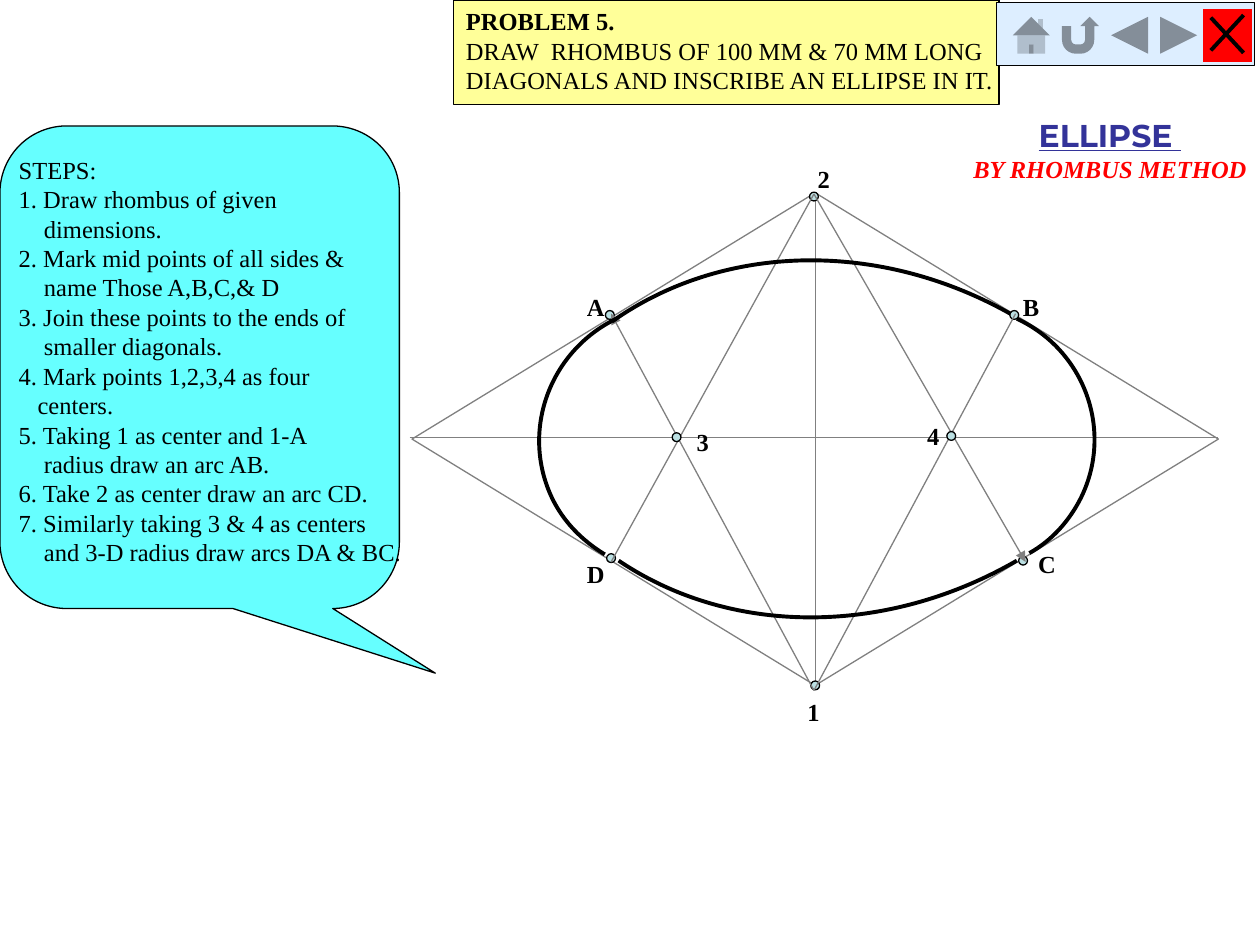
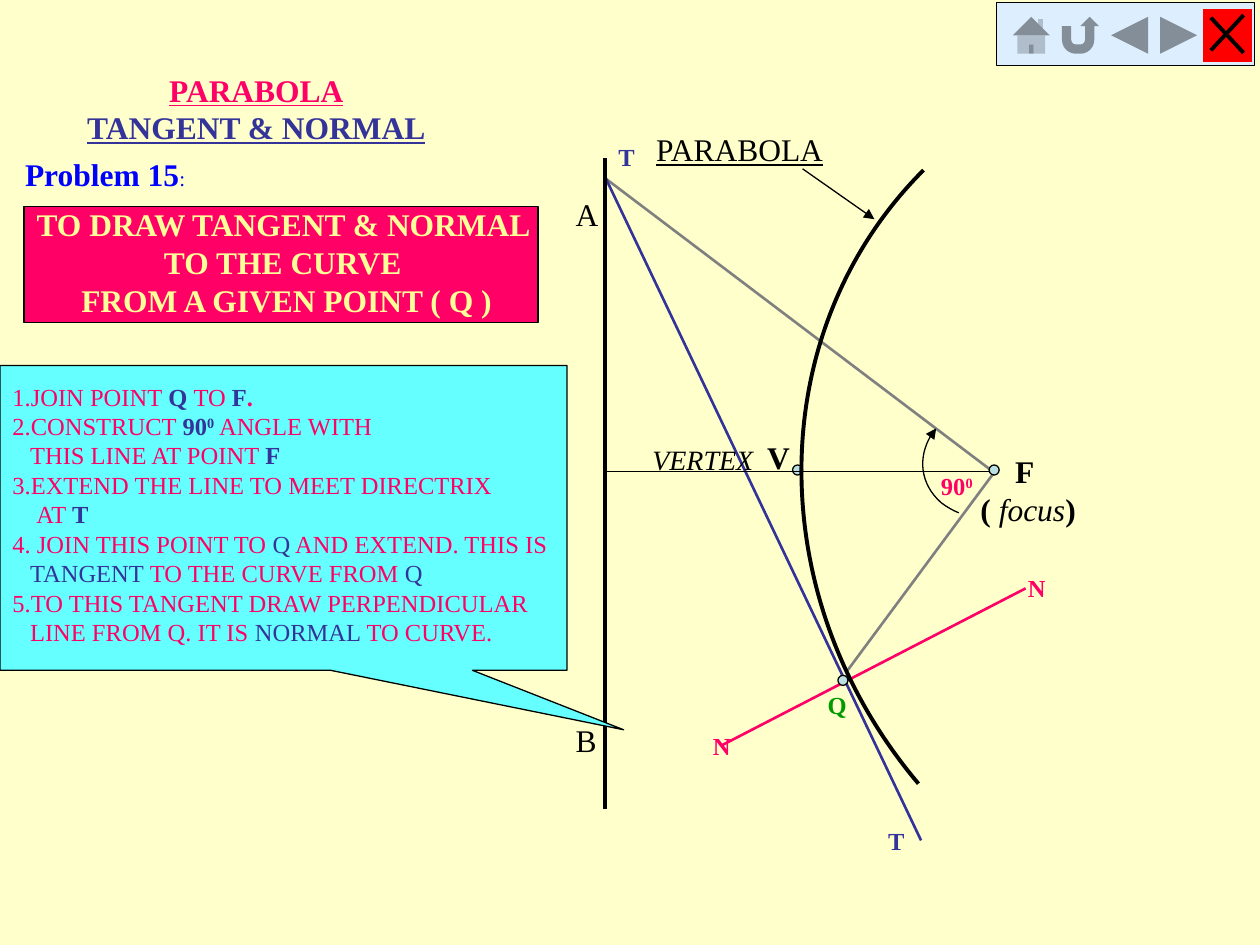
from math import cos, radians, sin

from lxml import etree
from pptx import Presentation
from pptx.dml.color import RGBColor
from pptx.enum.shapes import MSO_CONNECTOR, MSO_SHAPE
from pptx.enum.text import MSO_ANCHOR, MSO_AUTO_SIZE, PP_ALIGN
from pptx.oxml.ns import qn
from pptx.util import Inches, Pt

STRAIGHT = MSO_CONNECTOR.STRAIGHT
RECTANGLE, OVAL, DIAMOND = MSO_SHAPE.RECTANGLE, MSO_SHAPE.OVAL, MSO_SHAPE.DIAMOND
ROUND_CALLOUT = MSO_SHAPE.ROUNDED_RECTANGULAR_CALLOUT
SQUARE_CALLOUT = MSO_SHAPE.RECTANGULAR_CALLOUT
BLANK_BUTTON = MSO_SHAPE.ACTION_BUTTON_CUSTOM
NAVIGATION = [MSO_SHAPE.ACTION_BUTTON_HOME, MSO_SHAPE.ACTION_BUTTON_RETURN,
              MSO_SHAPE.ACTION_BUTTON_BACK_OR_PREVIOUS,
              MSO_SHAPE.ACTION_BUTTON_FORWARD_OR_NEXT]
LEFT, CENTER = PP_ALIGN.LEFT, PP_ALIGN.CENTER

BLACK = RGBColor(0x00, 0x00, 0x00)
WHITE = RGBColor(0xFF, 0xFF, 0xFF)
GREY = RGBColor(0x80, 0x80, 0x80)
RED = RGBColor(0xFF, 0x00, 0x00)
PINK = RGBColor(0xFF, 0x00, 0x66)
INDIGO = RGBColor(0x33, 0x33, 0x99)
BLUE = RGBColor(0x00, 0x00, 0xFF)
GREEN = RGBColor(0x00, 0x99, 0x00)
CYAN = RGBColor(0x66, 0xFF, 0xFF)
YELLOW = RGBColor(0xFF, 0xFF, 0x99)
CREAM = RGBColor(0xFF, 0xFF, 0xCC)
DOT_BLUE = RGBColor(0xBB, 0xE0, 0xE3)
PANEL_BLUE = RGBColor(0xDD, 0xEE, 0xFF)

BASE = dict(name="Times New Roman", size=14, color=BLACK)
STRONG = dict(color=INDIGO, bold=True)
TINTED = dict(color=INDIGO)


def line_of(*spans, indent=0, **style):
    """One paragraph: spans are strings or (string, style) pairs."""
    return spans, indent, style


# ---- Rhombus slide -------------------------------------------------------
ELLIPSE_TITLE = [
    line_of("ELLIPSE ", name="Montserrat", size=18, color=INDIGO, bold=True, underline=True),
    line_of("BY RHOMBUS METHOD", color=RED, bold=True, italic=True),
]
RHOMBUS_PROBLEM = [
    line_of("PROBLEM 5.", bold=True),
    line_of("DRAW  RHOMBUS OF 100 MM & 70 MM LONG"),
    line_of("DIAGONALS AND INSCRIBE AN ELLIPSE IN IT."),
]
RHOMBUS_STEPS = [
    line_of("STEPS:"),
    line_of("1. Draw rhombus of given"),
    line_of("dimensions.", indent=0.2),
    line_of("2. Mark mid points of all sides &"),
    line_of("name Those A,B,C,& D", indent=0.2),
    line_of("3. Join these points to the ends of"),
    line_of("smaller diagonals.", indent=0.2),
    line_of("4. Mark points 1,2,3,4 as four"),
    line_of("centers.", indent=0.15),
    line_of("5. Taking 1 as center and 1-A"),
    line_of("radius draw an arc AB.", indent=0.2),
    line_of("6. Take 2 as center draw an arc CD."),
    line_of("7. Similarly taking 3 & 4 as centers"),
    line_of("and 3-D radius draw arcs DA & BC.", indent=0.2),
]
# name: (dot centre, label left, top, width)
RIM_POINTS = {
    "A": ((4.84, 2.5), 4.56, 2.27, 0.34),
    "B": ((8.05, 2.5), 8.02, 2.27, 0.33),
    "C": ((8.12, 4.45), 8.14, 4.31, 0.34),
    "D": ((4.85, 4.43), 4.56, 4.39, 0.34),
    "1": ((6.47, 5.44), 6.31, 5.48, 0.3),
    "2": ((6.46, 1.56), 6.39, 1.25, 0.3),
}
SIDE_CENTRES = {
    "3": ((5.37, 3.47), 5.43, 3.34, 0.3),
    "4": ((7.55, 3.46), 7.26, 3.29, 0.3),
}
DIAGONALS = [((3.25, 3.47), (9.67, 3.47)), ((6.47, 1.53), (6.47, 5.44))]
BOTTOM, TOP = (6.46, 5.48), (6.46, 1.54)
# from, to, arrowhead at the far end
RADII = [(BOTTOM, (4.85, 2.49), True), (BOTTOM, (8.06, 2.49), False),
         (TOP, (4.85, 4.46), False), (TOP, (8.14, 4.46), True)]
# Each curve: frame, its turn in degrees, then the start point followed by
# two control points and an end for every further piece, as seen on the page
ELLIPSE_ARCS = [
    ((5.23, 1.43, 2.71, 3.14), 312.9,
     [(4.86, 2.55), (5.74, 1.93), (6.97, 1.9), (8.02, 2.49)]),
    ((5.27, 2.39, 2.71, 3.14), 45.9,
     [(4.91, 4.45), (5.8, 5.05), (7.03, 5.05), (8.07, 4.45)]),
    ((7.66, 2.68, 1.08, 1.64), 25.7,
     [(8.07, 2.53), (8.61, 2.78), (8.84, 3.42), (8.58, 3.95),
      (8.49, 4.13), (8.35, 4.29), (8.17, 4.39)]),
    ((4.23, 2.68, 1.08, 1.64), 334.3,
     [(4.89, 2.53), (4.36, 2.79), (4.13, 3.42), (4.38, 3.95),
      (4.47, 4.14), (4.62, 4.29), (4.8, 4.4)]),
]

# ---- Parabola slide ------------------------------------------------------
PARABOLA_TITLE = [
    line_of("PARABOLA", size=18, color=PINK, bold=True, underline=True),
    line_of("TANGENT & NORMAL", size=18, color=INDIGO, bold=True, underline=True),
]
PROBLEM_NUMBER = [line_of(("Problem 15", dict(size=18, bold=True)),
                          (":", dict(size=12)), color=BLUE)]
TASK = [line_of(text, size=18, color=YELLOW, bold=True) for text in
        ("TO DRAW TANGENT & NORMAL ", "TO THE CURVE ", "FROM A GIVEN POINT ( Q )")]
TANGENT_STEPS = [
    line_of("1.JOIN POINT ", ("Q ", STRONG), "TO ", ("F", STRONG),
            (".", dict(bold=True)), color=PINK),
    line_of("2.CONSTRUCT ", ("90", STRONG), ("0", dict(STRONG, raised=True)),
            " ANGLE WITH", color=PINK),
    line_of("THIS LINE AT POINT ", ("F", STRONG), indent=0.14, color=PINK),
    line_of("3.EXTEND THE LINE TO MEET DIRECTRIX", color=PINK),
    line_of("AT ", ("T", STRONG), indent=0.19, color=PINK),
    line_of("4. JOIN THIS POINT TO ", ("Q", TINTED), " AND EXTEND. THIS IS", color=PINK),
    line_of(("TANGENT", TINTED), " TO THE CURVE FROM ", ("Q", TINTED),
            indent=0.14, color=PINK),
    line_of("5.TO THIS TANGENT DRAW PERPENDICULAR", color=PINK),
    line_of("LINE FROM Q. IT IS ", ("NORMAL ", TINTED), "TO CURVE.",
            indent=0.14, color=PINK),
]
FOCUS_LABEL = [
    line_of("F ", size=18, bold=True),
    line_of(("( ", dict(bold=True)), ("focus", dict(italic=True)),
            (")", dict(bold=True)), size=18),
]
Q, FOCUS, TANGENT_TOP = (6.72, 5.33), (7.89, 3.75), (4.81, 1.42)
# from, to, colour
CONSTRUCTION = [
    (Q, FOCUS, GREY),
    (FOCUS, TANGENT_TOP, GREY),
    (TANGENT_TOP, (7.31, 6.67), INDIGO),
    ((5.72, 5.92), (8.14, 4.67), PINK),
]
DIRECTRIX = ((4.8, 1.25), (4.8, 6.42))
AXIS = ((4.8, 3.74), (7.93, 3.74))
POINTER = ((6.37, 1.34), (6.94, 1.74))
PARABOLA = ((5.69, 2.03, 3.48, 3.75), 315,
            [(7.33, 1.35), (6.05, 2.63), (6.04, 4.74), (7.29, 6.22)])
RIGHT_ANGLE = ((7.22, 3.54, 0.57, 0.42), 221,
               [(7.61, 4.07), (7.56, 4.05), (7.51, 4.02), (7.47, 3.99),
                (7.3, 3.84), (7.28, 3.57), (7.43, 3.4)])
# left, top, width, height, paragraph
PARABOLA_LABELS = [
    (4.47, 1.5, 0.38, 0.4, line_of("A", size=18)),
    (4.47, 5.67, 0.37, 0.4, line_of("B", size=18)),
    (5.11, 0.98, 1.55, 0.4, line_of("PARABOLA", size=18, underline=True)),
    (5.08, 3.46, 1, 0.37, line_of("VERTEX", size=16, italic=True)),
    (5.99, 3.43, 0.38, 0.4, line_of("V", size=18, bold=True)),
    (6.47, 5.43, 0.35, 0.33, line_of("Q", color=GREEN, bold=True)),
    (6.95, 6.51, 0.33, 0.33, line_of("T", **STRONG)),
    (4.81, 1.08, 0.33, 0.33, line_of("T", **STRONG)),
    (8.06, 4.5, 0.34, 0.33, line_of("N", color=PINK, bold=True)),
    (5.56, 5.75, 0.34, 0.33, line_of("N", color=PINK, bold=True)),
    (7.37, 3.69, 0.46, 0.33,
     line_of("90", ("0", dict(raised=True)), color=PINK, bold=True)),
]


def inches(*values):
    return [Inches(value) for value in values]


def set_font(font, style):
    for key, value in style.items():
        if key == "color":
            font.color.rgb = value
        elif key == "size":
            font.size = Pt(value)
        elif key != "raised":
            setattr(font, key, value)


def write(frame, lines, align=LEFT, wrap=False):
    frame.word_wrap = wrap
    frame.auto_size = MSO_AUTO_SIZE.SHAPE_TO_FIT_TEXT
    frame.vertical_anchor = MSO_ANCHOR.TOP
    for number, (spans, indent, style) in enumerate(lines):
        para = frame.add_paragraph() if number else frame.paragraphs[0]
        para.alignment = align
        if indent:
            para._p.get_or_add_pPr().set("marL", str(Inches(indent)))
        set_font(para.font, {**BASE, **style})
        for span in spans:
            text, own = (span, {}) if isinstance(span, str) else span
            run = para.add_run()
            run.text = text
            set_font(run.font, own)
            if own.get("raised"):
                run._r.get_or_add_rPr().set("baseline", "30000")


def add_text(page, place, lines, align=LEFT, wrap=False):
    box = page.shapes.add_textbox(*inches(*place))
    write(box.text_frame, lines, align, wrap)


def add_shape(page, kind, place, fill, line=BLACK, width=0.75, adjust=()):
    shape = page.shapes.add_shape(kind, *inches(*place))
    shape.shadow.inherit = False
    shape.fill.solid()
    shape.fill.fore_color.rgb = fill
    if line is None:
        shape.line.fill.background()
    else:
        shape.line.color.rgb = line
        shape.line.width = Pt(width)
    for number, value in enumerate(adjust):
        shape.adjustments[number] = value


def add_dot(page, centre, size):
    x, y = centre
    add_shape(page, OVAL, (x - size / 2, y - size / 2, size, size), DOT_BLUE)


def draw_stroke(shape, color, width, arrow):
    shape.line.color.rgb = color
    shape.line.width = Pt(width)
    if arrow:
        etree.SubElement(shape.line._get_or_add_ln(), qn("a:tailEnd"), type="triangle")


def add_line(page, start, end, color=BLACK, width=0.75, arrow=False):
    line = page.shapes.add_connector(STRAIGHT, *inches(*start, *end))
    draw_stroke(line, color, width, arrow)
    etree.SubElement(line._element.spPr, qn("a:effectLst"))


def add_curve(page, frame, turn, knots, width=2.25, arrow=False):
    """Draw a chain of cubic Bezier pieces inside a turned frame."""
    left, top, wide, high = frame
    c, s = cos(radians(turn)), sin(radians(turn))
    offsets = [(x - left - wide / 2, y - top - high / 2) for x, y in knots]
    local = [inches(wide / 2 + x * c + y * s, high / 2 - x * s + y * c) for x, y in offsets]
    builder = page.shapes.build_freeform(*local[0])
    builder.add_line_segments(local[1:], close=False)
    curve = builder.convert_to_shape()
    curve.left, curve.top, curve.width, curve.height = inches(*frame)
    curve.rotation = turn
    outline = curve._element.find(".//" + qn("a:path"))
    for key, value in (("w", wide), ("h", high)):
        outline.set(key, str(Inches(value)))
    for point, (x, y) in zip(outline.iter(qn("a:pt")), local):
        point.set("x", str(x))
        point.set("y", str(y))
    segments = outline.findall(qn("a:lnTo"))
    for number, segment in enumerate(segments):
        if number % 3 == 0:
            piece = etree.SubElement(outline, qn("a:cubicBezTo"))
        piece.append(segment[0])
        outline.remove(segment)
    curve.shadow.inherit = False
    curve.fill.background()
    draw_stroke(curve, BLACK, width, arrow)


def add_page(deck, background, title, place):
    page = deck.slides.add_slide(deck.slide_layouts[5])
    page.background.fill.solid()
    page.background.fill.fore_color.rgb = background
    heading = page.shapes.title
    heading.left, heading.top, heading.width, heading.height = inches(*place)
    write(heading.text_frame, title, CENTER)
    return page


def add_navigation(page):
    add_shape(page, BLANK_BUTTON, (7.91, 0.02, 2.05, 0.5), PANEL_BLUE, width=0.5)
    for number, kind in enumerate(NAVIGATION + [BLANK_BUTTON]):
        fill = RED if kind == BLANK_BUTTON else PANEL_BLUE
        add_shape(page, kind, (7.99 + 0.39 * number, 0.07, 0.39, 0.42), fill, None)
    add_line(page, (9.61, 0.14), (9.87, 0.42), width=2.25)
    add_line(page, (9.87, 0.12), (9.61, 0.4), width=2.25)


def build_rhombus(deck):
    page = add_page(deck, WHITE, ELLIPSE_TITLE, (7.62, 0.87, 2.38, 0.63))
    add_shape(page, DIAMOND, (3.27, 1.53, 6.4, 3.91), WHITE, GREY)
    for start, end in DIAGONALS:
        add_line(page, start, end, GREY)
    for centre, *_ in RIM_POINTS.values():
        add_dot(page, centre, 0.07)
    for start, end, arrow in RADII:
        add_line(page, start, end, GREY, arrow=arrow)
    for centre, *_ in SIDE_CENTRES.values():
        add_dot(page, centre, 0.07)
    for name, (_, left, top, width) in {**RIM_POINTS, **SIDE_CENTRES}.items():
        add_text(page, (left, top, width, 0.33), [line_of(name, bold=True)])
    for arc in ELLIPSE_ARCS:
        add_curve(page, *arc)
    add_shape(page, RECTANGLE, (3.6, 0, 4.33, 0.83), YELLOW)
    add_text(page, (3.6, 0, 4.4, 0.8), RHOMBUS_PROBLEM)
    add_shape(page, ROUND_CALLOUT, (0, 1, 3.17, 3.83), CYAN, adjust=(0.59, 0.634, 0.167))
    add_text(page, (0.05, 1.18, 3.52, 3.36), RHOMBUS_STEPS, wrap=True)
    add_navigation(page)


def build_parabola(deck):
    page = add_page(deck, CREAM, PARABOLA_TITLE, (0.58, 0.51, 2.91, 0.7))
    for start, end, color in CONSTRUCTION:
        add_line(page, start, end, color, 1.5)
    add_dot(page, (6.33, 3.73), 0.08)
    add_curve(page, *PARABOLA)
    add_line(page, *DIRECTRIX, width=2.25)
    add_line(page, *POINTER, arrow=True)
    add_line(page, *AXIS)
    add_dot(page, (7.89, 3.73), 0.08)
    for *place, label in PARABOLA_LABELS:
        add_text(page, place, [label])
    add_text(page, (7.68, 3.54, 0.96, 0.7), FOCUS_LABEL, CENTER)
    add_curve(page, *RIGHT_ANGLE, width=0.75, arrow=True)
    add_dot(page, (6.69, 5.4), 0.08)
    add_shape(page, RECTANGLE, (0.19, 1.64, 4.08, 0.92), PINK)
    add_text(page, (0.15, 1.58, 4.25, 1), TASK, CENTER)
    add_shape(page, SQUARE_CALLOUT, (0, 2.9, 4.5, 2.42), CYAN, adjust=(0.6, 0.695))
    add_text(page, (0, 2.98, 4.51, 2.43), TANGENT_STEPS)
    add_text(page, (0.1, 1.18, 1.48, 0.4), PROBLEM_NUMBER)
    add_navigation(page)


def main():
    deck = Presentation()
    deck.slide_width, deck.slide_height = inches(10, 7.5)
    build_rhombus(deck)
    build_parabola(deck)
    deck.save("out.pptx")


if __name__ == "__main__":
    main()
